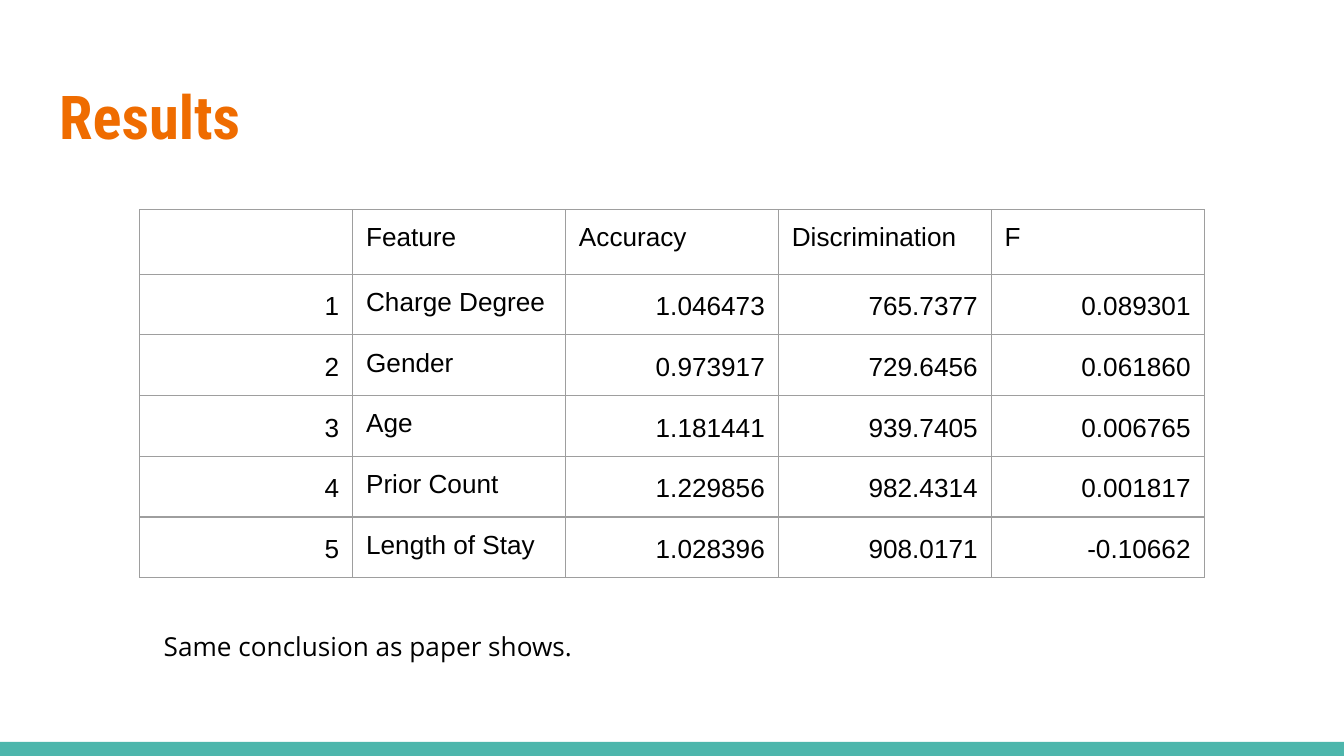
from pptx import Presentation, util as u
from pptx.dml.color import RGBColor
from pptx.enum import shapes, text
from pptx.oxml import parse_xml
from pptx.oxml.ns import nsdecls

ORANGE = RGBColor(0xEF, 0x6C, 0x00)
TEAL = RGBColor(0x4D, 0xB6, 0xAC)
GREY = RGBColor(0x9E, 0x9E, 0x9E)
BLACK = RGBColor(0, 0, 0)
PADDING = u.Inches(0.1)


def style_text(frame, font_name, size, color):
    font = frame.paragraphs[0].font
    font.name = font_name
    font.size = u.Pt(size)
    font.color.rgb = color


def set_padding(holder):
    holder.margin_left = holder.margin_right = PADDING
    holder.margin_top = holder.margin_bottom = PADDING


presentation = Presentation()
presentation.slide_width = u.Inches(10)
presentation.slide_height = presentation.slide_width * 9 // 16
slide = presentation.slides.add_slide(presentation.slide_layouts[5])

footer_band = slide.shapes.add_shape(
    shapes.MSO_SHAPE.RECTANGLE, 0, u.Inches(5.52), u.Inches(10), u.Inches(0.11)
)
footer_band.shadow.inherit = False
footer_band.fill.solid()
footer_band.fill.fore_color.rgb = TEAL
footer_band.line.fill.background()

heading = slide.shapes.title
heading.left, heading.top = u.Inches(0.34), u.Inches(0.49)
heading.width, heading.height = u.Inches(9.32), u.Inches(0.77)
heading.text_frame.text = "Results"
heading.text_frame.vertical_anchor = text.MSO_ANCHOR.TOP
heading.text_frame.auto_size = text.MSO_AUTO_SIZE.NONE
set_padding(heading.text_frame)
style_text(heading.text_frame, "Roboto Condensed", 32.4, ORANGE)
heading.text_frame.paragraphs[0].font.bold = True
heading.text_frame.paragraphs[0].alignment = text.PP_ALIGN.LEFT

results = [
    ("", "Feature", "Accuracy", "Discrimination", "F"),
    ("1", "Charge Degree", "1.046473", "765.7377", "0.089301"),
    ("2", "Gender", "0.973917", "729.6456", "0.061860"),
    ("3", "Age", "1.181441", "939.7405", "0.006765"),
    ("4", "Prior Count", "1.229856", "982.4314", "0.001817"),
    ("5", "Length of Stay", "1.028396", "908.0171", "-0.10662"),
]
FEATURE_COLUMN = 1
results_table = slide.shapes.add_table(
    len(results), len(results[0]),
    u.Inches(1.04), u.Inches(1.56), u.Inches(7.92), u.Inches(2.73),
).table
results_table.first_row = False
results_table.horz_banding = False
for column in results_table.columns:
    column.width = u.Inches(7.92) // len(results[0])

for row, values in enumerate(results):
    results_table.rows[row].height = u.Inches(0.45 if row else 0.48)
    for column, value in enumerate(values):
        cell = results_table.cell(row, column)
        cell.text = value
        cell.fill.background()
        set_padding(cell)
        style_text(cell.text_frame, "Arial", 14, BLACK)
        if row and column != FEATURE_COLUMN:
            cell.text_frame.paragraphs[0].alignment = text.PP_ALIGN.RIGHT
            cell.text_frame.paragraphs[0].line_spacing = 1.15
        properties = cell._tc.get_or_add_tcPr()
        for position, side in enumerate(("lnL", "lnR", "lnT", "lnB")):
            border = parse_xml(
                f'<a:{side} {nsdecls("a")} w="{u.Pt(0.75)}"><a:solidFill>'
                f'<a:srgbClr val="{GREY}"/></a:solidFill></a:{side}>'
            )
            properties.insert(position, border)

conclusion = slide.shapes.add_textbox(
    u.Inches(1.12), u.Inches(4.59), u.Inches(5.46), u.Inches(0.44)
).text_frame
conclusion.word_wrap = True
conclusion.auto_size = text.MSO_AUTO_SIZE.SHAPE_TO_FIT_TEXT
conclusion.text = "Same conclusion as paper shows."
set_padding(conclusion)
style_text(conclusion, "Open Sans", 14, BLACK)

presentation.save("out.pptx")
